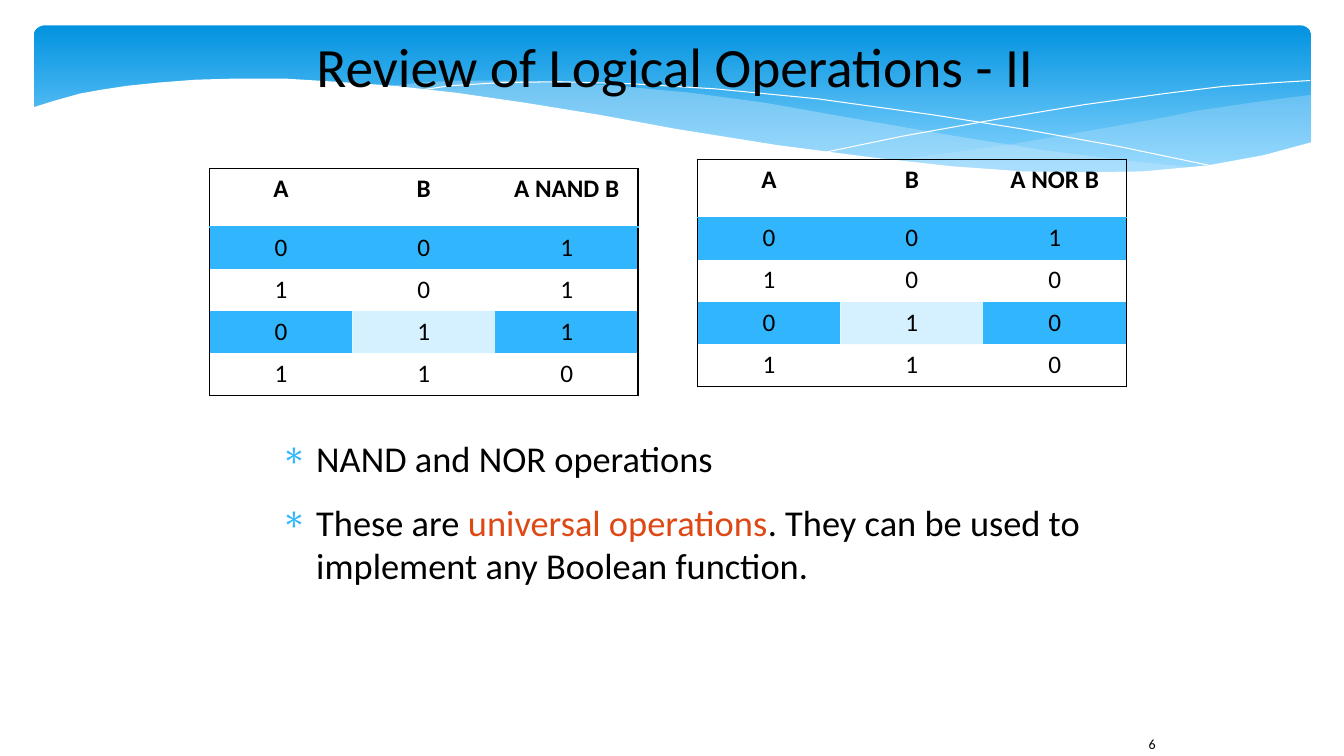
import pptx
import pptx.dml.color
import pptx.enum.shapes
import pptx.enum.text
import pptx.oxml
import pptx.oxml.ns
import pptx.util
from pptx.util import Cm

BLACK, WHITE, SKY, PALE, ORANGE = "000000", "FFFFFF", "31B6FD", "C6E7FC", "DD4814"
CENTER = pptx.enum.text.PP_ALIGN.CENTER

# Outlines in centimetres
RIGHT_WAVE = [
    (33.05, 2.39), (31.65, 2.57), (30.18, 2.79), (29.13, 3.0), (27.25, 3.33), (25.53, 3.63),
    (23.9, 3.86), (22.4, 4.06), (23.88, 4.19), (25.22, 4.29), (26.82, 4.37), (28.27, 4.37),
    (29.54, 4.29), (30.66, 4.14), (31.93, 3.91), (33.05, 3.61)]
MIDDLE_WAVE = [
    (30.23, 4.24), (28.35, 4.04), (26.26, 3.78), (23.9, 3.4), (21.31, 2.95), (19.28, 2.59),
    (17.42, 2.34), (15.72, 2.18), (14.22, 2.08), (12.85, 2.03), (11.66, 2.03), (10.62, 2.08),
    (9.7, 2.18), (10.95, 2.29), (12.98, 2.57), (15.21, 2.95), (17.93, 3.43), (20.37, 3.81),
    (22.53, 4.09), (24.46, 4.27), (26.16, 4.37), (27.69, 4.39), (29.03, 4.34)]
FALLING_CURVE = [
    (10.46, 2.29), (11.35, 2.16), (12.67, 2.08), (14.1, 2.06), (15.88, 2.11), (18.03, 2.24),
    (20.6, 2.49), (23.55, 2.9), (25.76, 3.25), (28.14, 3.68), (30.73, 4.22)]
RISING_CURVE = [
    (20.78, 3.84), (22.76, 3.43), (25.32, 2.97), (27.31, 2.64), (29.34, 2.36), (30.81, 2.18),
    (32.18, 2.08), (33.02, 2.03)]
WHITE_WAVE = [
    (33.07, 3.58), (31.85, 3.91), (30.43, 4.17), (28.8, 4.32), (27.38, 4.34), (25.78, 4.32),
    (23.98, 4.19), (21.92, 3.96), (19.61, 3.66), (17.04, 3.25), (15.14, 2.9), (13.23, 2.59),
    (11.51, 2.34), (9.91, 2.16), (8.46, 2.06), (7.16, 1.98), (5.97, 1.98), (4.93, 2.01),
    (4.01, 2.08), (3.23, 2.16), (2.57, 2.26), (2.01, 2.36), (1.37, 2.54), (0.79, 2.72),
    (0.79, 5.69), (33.1, 5.69), (33.1, 3.56)]

INPUTS = [(0, 0), (1, 0), (0, 1), (1, 1)]


def rgb(color):
    return pptx.dml.color.RGBColor.from_string(color)


def drawing_element(xml):
    return pptx.oxml.parse_xml(xml.replace(">", f' {pptx.oxml.ns.nsdecls("a")}>', 1))


def paint(fill, color, opacity=100):
    fill.solid()
    fill.fore_color.rgb = rgb(color)
    if opacity < 100:
        alpha = drawing_element(f'<a:alpha val="{opacity * 1000}"></a:alpha>')
        fill._xPr.find(".//" + pptx.oxml.ns.qn("a:srgbClr")).append(alpha)


def add_run(paragraph, text, size, color=BLACK, bold=False):
    run = paragraph.add_run()
    run.text = text
    run.font.name = "Calibri"
    run.font.size = pptx.util.Pt(size)
    run.font.bold = bold
    run.font.color.rgb = rgb(color)


def add_text(slide, box, paragraphs, size, align=None, anchor="TOP", inset=0.0,
             bullet=None, space_after=0):
    """Each paragraph is a list of (text, color) runs."""
    frame = slide.shapes.add_textbox(*map(Cm, box)).text_frame
    frame.word_wrap = True
    frame.vertical_anchor = pptx.enum.text.MSO_ANCHOR[anchor]
    frame.margin_left = frame.margin_right = Cm(inset)
    frame.margin_top = frame.margin_bottom = Cm(inset / 2)
    for index, runs in enumerate(paragraphs):
        paragraph = frame.add_paragraph() if index else frame.paragraphs[0]
        paragraph.alignment = align
        paragraph.space_after = pptx.util.Pt(space_after)
        if bullet:
            add_bullet(paragraph, bullet)
        for text, color in runs:
            add_run(paragraph, text, size, color)


def add_bullet(paragraph, bullet):
    properties = paragraph._p.get_or_add_pPr()
    properties.set("marL", str(Cm(1.19)))
    properties.set("indent", str(Cm(-0.89)))
    properties.append(drawing_element(f'<a:buClr><a:srgbClr val="{SKY}"/></a:buClr>'))
    properties.append(drawing_element(f'<a:buChar char="{bullet}"></a:buChar>'))


def add_outline(slide, points, fill=None, opacity=100):
    """Draw a filled wave, or a thin white curve when there is no fill."""
    start, *rest = [(Cm(x), Cm(y)) for x, y in points]
    builder = slide.shapes.build_freeform(*start, scale=1.0)
    builder.add_line_segments(rest, close=fill is not None)
    outline = builder.convert_to_shape()
    outline.shadow.inherit = False
    if fill:
        paint(outline.fill, fill, opacity)
        outline.line.fill.background()
    else:
        outline.fill.background()
        outline.line.color.rgb = rgb(WHITE)
        outline.line.width = 0


def add_banner(slide):
    banner = slide.shapes.add_shape(
        pptx.enum.shapes.MSO_SHAPE.ROUNDED_RECTANGLE, Cm(0.85), Cm(0.64), Cm(32.2), Cm(3.96))
    banner.adjustments[0] = 0.07
    banner.shadow.inherit = False
    banner.line.fill.background()
    banner.fill.gradient()
    banner.fill.gradient_angle = 270
    for stop, position, color in zip(banner.fill.gradient_stops, (0, 0.9), ("0293E0", "83D3FE")):
        stop.position = position
        stop.color.rgb = rgb(color)
    add_outline(slide, RIGHT_WAVE, PALE, 29)
    add_outline(slide, MIDDLE_WAVE, PALE, 40)
    add_outline(slide, FALLING_CURVE)
    add_outline(slide, RISING_CURVE)
    add_outline(slide, WHITE_WAVE, WHITE)


def set_borders(cell, **colors):
    properties = cell._tc.get_or_add_tcPr()
    for side in "LRTB":
        color = colors.get(side)
        line = f'<a:solidFill><a:srgbClr val="{color}"/></a:solidFill>' if color else "<a:noFill/>"
        width = 12700 if color else 0
        properties.append(drawing_element(f'<a:ln{side} w="{width}">{line}</a:ln{side}>'))


def add_truth_table(slide, left, top, operation, results):
    rows = [("A", "B", f"A {operation} B")]
    rows += [(a, b, result) for (a, b), result in zip(INPUTS, results)]
    last_row, last_column = len(rows) - 1, 2
    table = slide.shapes.add_table(
        len(rows), 3, Cm(left), Cm(top), Cm(10.8), Cm(5.72)).table
    for column in table.columns:
        column.width = Cm(3.6)
    for r, values in enumerate(rows):
        table.rows[r].height = Cm(1.06 if r else 1.48)
        for c, value in enumerate(values):
            cell = table.cell(r, c)
            set_borders(
                cell,
                L=BLACK if c == 0 else None,
                R=BLACK if c == last_column else None,
                T={0: BLACK, 1: SKY}.get(r),
                B={0: SKY, last_row: BLACK}.get(r))
            if r % 2:
                paint(cell.fill, SKY, 20)
            else:
                cell.fill.background()
            paragraph = cell.text_frame.paragraphs[0]
            paragraph.alignment = CENTER
            add_run(paragraph, str(value), 18, bold=r == 0)


def main():
    presentation = pptx.Presentation()
    presentation.slide_width, presentation.slide_height = Cm(33.87), Cm(19.05)
    slide = presentation.slides.add_slide(presentation.slide_layouts[6])
    add_banner(slide)
    add_text(slide, (6.71, 0.36, 20.6, 2.59), [[("Review of Logical Operations - II", BLACK)]],
             39.6, align=CENTER, anchor="MIDDLE")
    add_text(slide, (6.78, 11, 20.6, 5.13), [
        [("NAND and NOR operations", BLACK)],
        [("These are ", BLACK), ("universal operations", ORANGE),
         (". They can be used to implement any Boolean function.", BLACK)],
    ], 26, bullet="∗", space_after=14.1)
    add_text(slide, (28.7, 18.42, 1.55, 1.02), [[("6", BLACK)]], 10, inset=0.25)
    add_truth_table(slide, 17.58, 4.01, "NOR", (1, 0, 0, 0))
    add_truth_table(slide, 5.28, 4.24, "NAND", (1, 1, 1, 0))
    presentation.save("out.pptx")


if __name__ == "__main__":
    main()
